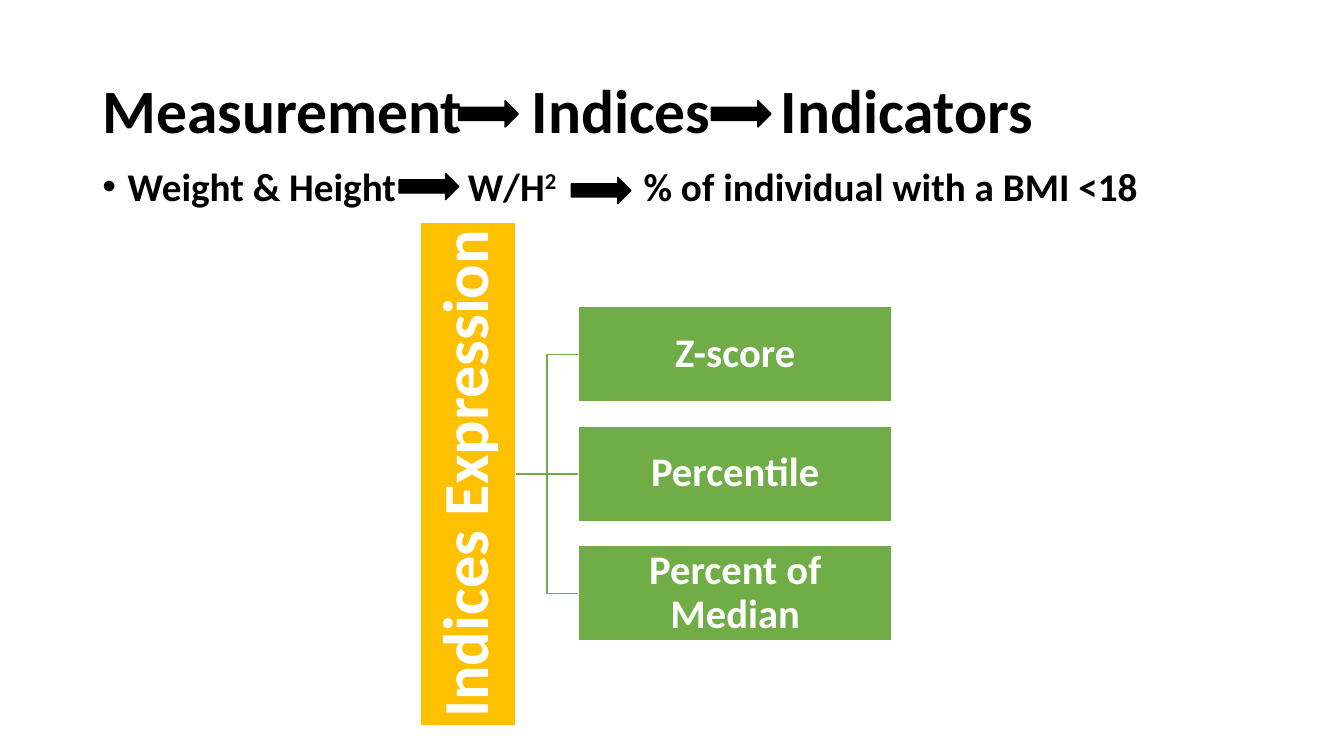
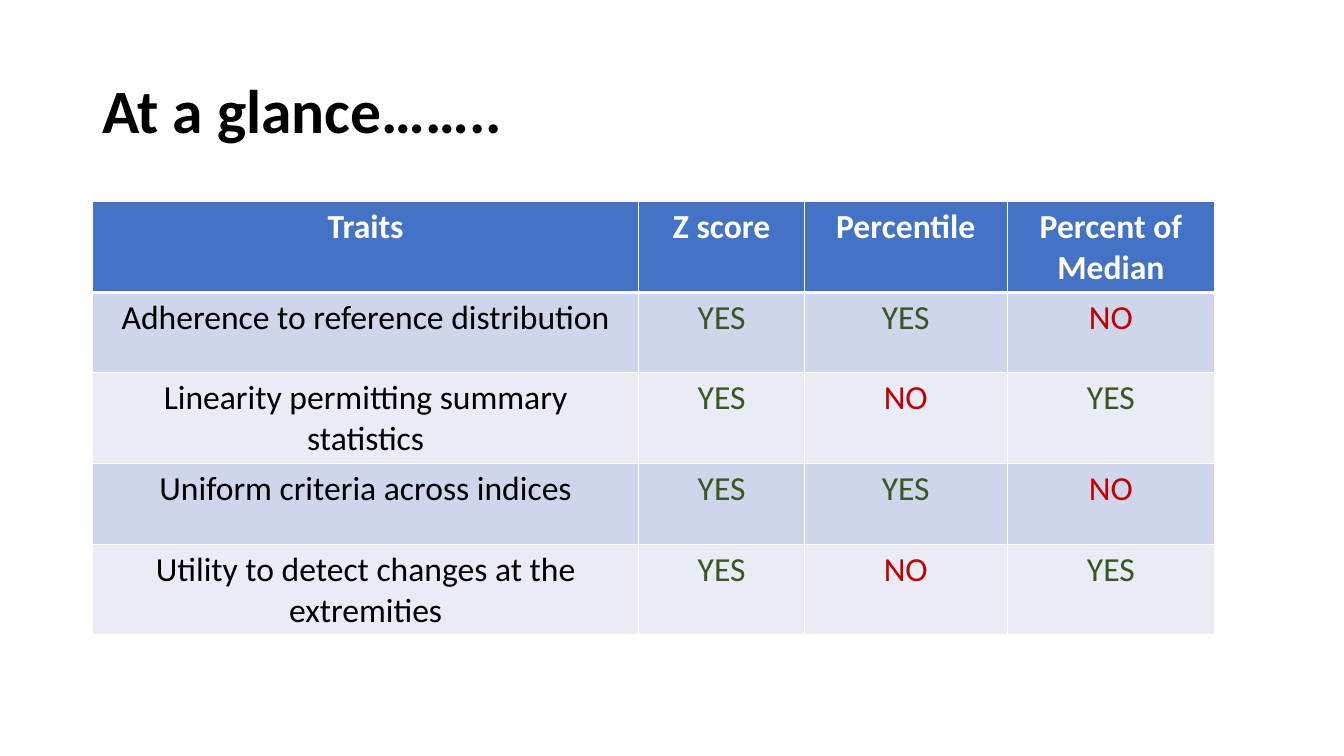
from pptx import Presentation
from pptx.dml.color import RGBColor
from pptx.enum.shapes import MSO_CONNECTOR as Link, MSO_SHAPE as Preset
from pptx.enum.text import MSO_ANCHOR as Anchor, PP_ALIGN as Align
from pptx.oxml.ns import qn
from pptx.util import Cm, Pt
from lxml.etree import SubElement

COLORS = {
    "black": "000000", "white": "FFFFFF", "gold": "FFC000", "green": "70AD47",
    "header": "4472C4", "band_dark": "CFD5EA", "band_light": "E9EBF5",
    "yes": "385723", "no": "C00000",
}
FONT = "Calibri"

# Lengths are centimetres
SLIDE_SIZE = (33.87, 19.05)
MARGIN, RIGHT_EDGE = 2.33, 31.54
TITLE = {"top": 1.01, "height": 3.68, "size": 44, "anchor": Anchor.MIDDLE}
EXAMPLE = {"top": 4.09, "height": 1.5, "size": 28, "anchor": Anchor.TOP}
ARROW_SIZE = (1.5, 0.66)

# Stage: (left, text, superscript)
TITLE_STAGES = [(MARGIN, "Measurement", ""), (13.15, "Indices", ""),
                (19.43, "Indicators", "")]
EXAMPLE_STAGES = [(MARGIN, "Weight & Height", ""), (11.54, "W/H", "2"),
                  (15.97, "% of individual with a BMI <18", "")]
ARROWS = [(11.56, 2.54), (17.93, 2.54), (10.06, 4.37), (14.4, 4.47)]

ROOT = "Indices Expression"
BRANCHES = ["Z-score", "Percentile", "Percent of Median"]
TREE_MIDDLE = 11.94
ROOT_CENTER, ROOT_LENGTH, BOX_HEIGHT = 11.79, 12.7, 2.41
BRANCH_LEFT, BRANCH_WIDTH, BRANCH_PITCH = 14.58, 7.9, 3.01

GLANCE_TITLE = "At a glance…….."
TRAITS = [
    ("Traits", "Z score", "Percentile", "Percent of Median"),
    ("Adherence to reference distribution", "YES", "YES", "NO"),
    ("Linearity permitting summary statistics", "YES", "NO", "YES"),
    ("Uniform criteria across indices", "YES", "YES", "NO"),
    ("Utility to detect changes at the extremities", "YES", "NO", "YES"),
]
TABLE_TOP, ROW_HEIGHT = 5.08, 2.03
COLUMN_WIDTHS = (13.77, 4.17, 5.11, 5.23)


def rgb(name):
    return RGBColor.from_string(COLORS[name])


def add_run(paragraph, text, size, color="black", bold=True):
    run = paragraph.add_run()
    run.text = text
    for key, value in {"name": FONT, "size": Pt(size), "bold": bold}.items():
        setattr(run.font, key, value)
    run.font.color.rgb = rgb(color)
    return run


def add_line_of_text(slide, style, left, right, text, superscript="", bullet=False):
    box = slide.shapes.add_textbox(Cm(left), Cm(style["top"]),
                                   Cm(right - left), Cm(style["height"]))
    frame = box.text_frame
    frame.word_wrap = True
    frame.vertical_anchor = style["anchor"]
    paragraph = frame.paragraphs[0]
    paragraph.line_spacing = 0.9
    if bullet:
        props = paragraph._p.get_or_add_pPr()
        props.set("marL", str(Cm(0.64)))
        props.set("indent", str(-Cm(0.64)))
        SubElement(props, qn("a:buFont"), typeface="Arial")
        SubElement(props, qn("a:buChar"), char="•")
    add_run(paragraph, text, style["size"])
    if superscript:
        raised = add_run(paragraph, superscript, style["size"])
        raised._r.get_or_add_rPr().set("baseline", "30000")


def add_stages(slide, style, stages, bullet=False):
    """Set each stage so that it ends where the next one starts."""
    ends = [left for left, *_ in stages[1:]] + [RIGHT_EDGE]
    for index, ((left, text, superscript), end) in enumerate(zip(stages, ends)):
        add_line_of_text(slide, style, left, end, text, superscript,
                         bullet and index == 0)


def add_preset(slide, preset, left, top, width, height, fill, line):
    shape = slide.shapes.add_shape(preset, Cm(left), Cm(top), Cm(width), Cm(height))
    shape.shadow.inherit = False
    shape.fill.solid()
    shape.fill.fore_color.rgb = rgb(fill)
    shape.line.color.rgb = rgb(line)
    shape.line.width = Pt(1)
    return shape


def add_tree_box(slide, text, left, middle, width, fill, size):
    box = add_preset(slide, Preset.RECTANGLE, left, middle - BOX_HEIGHT / 2,
                     width, BOX_HEIGHT, fill, "white")
    frame = box.text_frame
    frame.word_wrap = True
    frame.vertical_anchor = Anchor.MIDDLE
    for side in ("left", "right", "top", "bottom"):
        setattr(frame, f"margin_{side}", Cm(0.05))
    paragraph = frame.paragraphs[0]
    paragraph.alignment = Align.CENTER
    paragraph.line_spacing = 0.9
    add_run(paragraph, text, size, "white")
    return box


def add_branch_line(slide, middle):
    kind = Link.STRAIGHT if middle == TREE_MIDDLE else Link.ELBOW
    line = slide.shapes.add_connector(
        kind, Cm(ROOT_CENTER + BOX_HEIGHT / 2), Cm(TREE_MIDDLE),
        Cm(BRANCH_LEFT), Cm(middle))
    line.line.color.rgb = rgb("green")
    line.line.width = Pt(1)
    SubElement(line._element.spPr, qn("a:effectLst"))


def add_tree(slide):
    middles = [TREE_MIDDLE + (index - (len(BRANCHES) - 1) / 2) * BRANCH_PITCH
               for index in range(len(BRANCHES))]
    for middle in middles:
        add_branch_line(slide, middle)
    root = add_tree_box(slide, ROOT, ROOT_CENTER - ROOT_LENGTH / 2, TREE_MIDDLE,
                        ROOT_LENGTH, "gold", 46)
    root.rotation = 270
    for text, middle in zip(BRANCHES, middles):
        add_tree_box(slide, text, BRANCH_LEFT, middle, BRANCH_WIDTH, "green", 29)


def add_cell_borders(cell, bottom_width):
    props = cell._tc.get_or_add_tcPr()
    widths = {"lnL": 1, "lnR": 1, "lnT": 1, "lnB": bottom_width}
    for side, width in widths.items():
        border = SubElement(props, qn(f"a:{side}"), w=str(Pt(width)))
        fill = SubElement(border, qn("a:solidFill"))
        SubElement(fill, qn("a:srgbClr"), val=COLORS["white"])


def add_traits_table(slide):
    table = slide.shapes.add_table(
        len(TRAITS), len(COLUMN_WIDTHS), Cm(MARGIN), Cm(TABLE_TOP),
        Cm(sum(COLUMN_WIDTHS)), Cm(ROW_HEIGHT * len(TRAITS))).table
    for column, width in zip(table.columns, COLUMN_WIDTHS):
        column.width = Cm(width)
    for row_index, row in enumerate(TRAITS):
        table.rows[row_index].height = Cm(ROW_HEIGHT)
        header = row_index == 0
        band = "band_dark" if row_index % 2 else "band_light"
        for column_index, text in enumerate(row):
            cell = table.cell(row_index, column_index)
            add_cell_borders(cell, 3 if header or False else 1)
            cell.fill.solid()
            cell.fill.fore_color.rgb = rgb("header" if header else band)
            answer = text.lower() if text in ("YES", "NO") else "black"
            paragraph = cell.text_frame.paragraphs[0]
            paragraph.alignment = Align.CENTER
            add_run(paragraph, text, 24, "white" if header else answer, header)


def main():
    deck = Presentation()
    deck.slide_width, deck.slide_height = map(Cm, SLIDE_SIZE)
    blank = deck.slide_layouts[6]

    indices = deck.slides.add_slide(blank)
    add_stages(indices, TITLE, TITLE_STAGES)
    add_stages(indices, EXAMPLE, EXAMPLE_STAGES, bullet=True)
    for left, top in ARROWS:
        add_preset(indices, Preset.RIGHT_ARROW, left, top, *ARROW_SIZE,
                   "black", "black")
    add_tree(indices)

    glance = deck.slides.add_slide(blank)
    add_line_of_text(glance, TITLE, MARGIN, RIGHT_EDGE, GLANCE_TITLE)
    add_traits_table(glance)

    deck.save("out.pptx")


if __name__ == "__main__":
    main()
